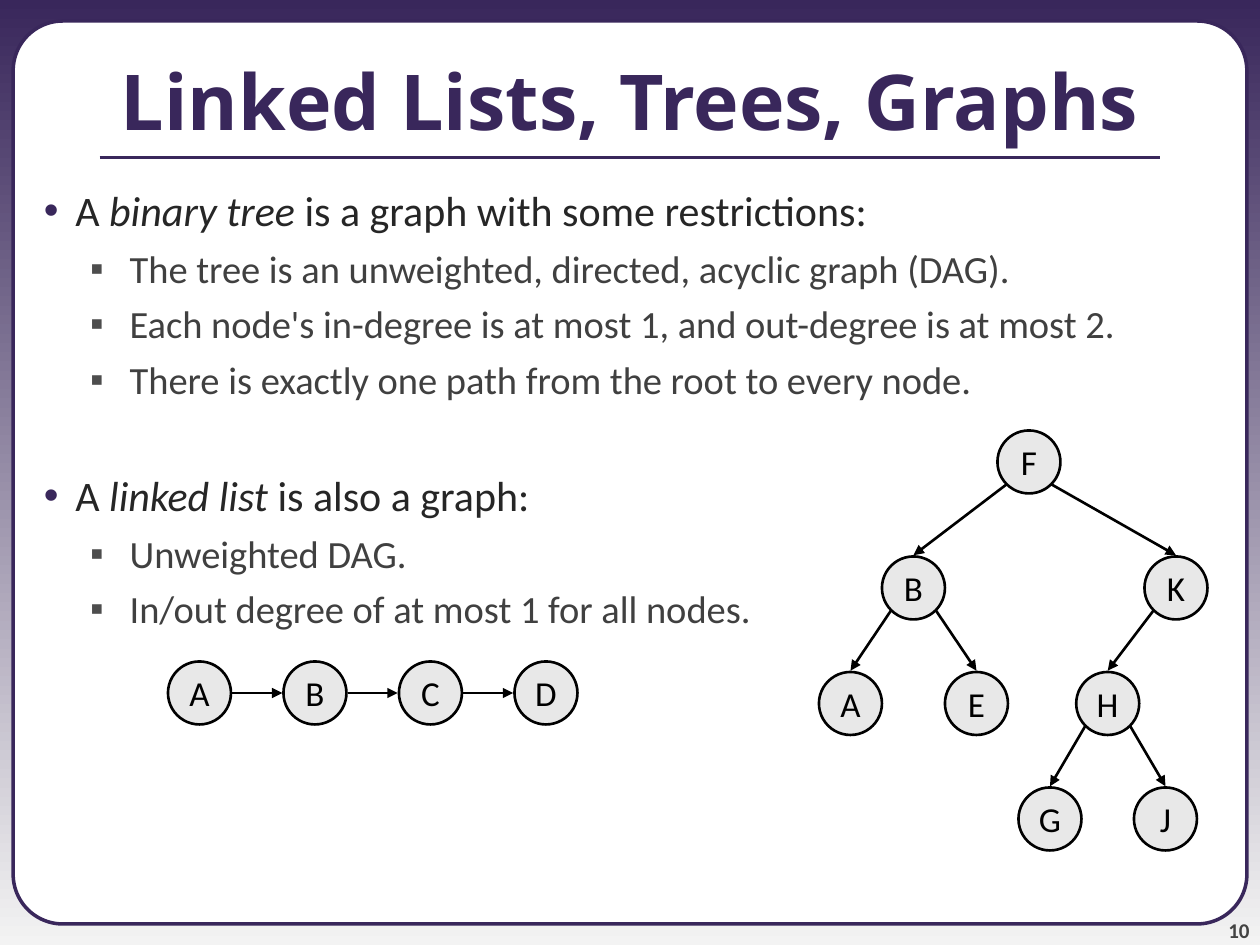
from lxml.etree import SubElement
from pptx import Presentation
from pptx.dml.color import RGBColor
from pptx.enum.shapes import MSO_CONNECTOR, MSO_SHAPE
from pptx.enum.text import MSO_ANCHOR, MSO_AUTO_SIZE, PP_ALIGN
from pptx.oxml.ns import qn
from pptx.util import Pt

PURPLE = "39275B"
BLACK = "000000"
NODE_SIZE = 36
RADIUS = NODE_SIZE / 2
DIAGONAL = 12.73  # horizontal and vertical offset of a point at 45° on a node
GAP = 0.7  # between an arrow and the node it touches

# Left and top of each tree node
TREE_NODES = {
    "F": (570, 246),
    "B": (504, 318), "K": (654, 318),
    "A": (468, 384), "E": (540, 384), "H": (615, 384),
    "G": (582, 450), "J": (648, 450),
}
TREE_EDGES = ["FB", "FK", "BA", "BE", "KH", "HG", "HJ"]

LIST_NODES = "ABCD"
LIST_LEFT, LIST_TOP, LIST_PITCH = 96, 378, 66

# Opening words, italic term, rest of the line, points below it
TOPICS = [
    ("A ", "binary tree", " is a graph with some restrictions:", [
        "The tree is an unweighted, directed, acyclic graph (DAG).",
        "Each node's in-degree is at most 1, and out-degree is at most 2.",
        "There is exactly one path from the root to every node.",
    ]),
    ("A ", "linked list", " is also a graph:", [
        "Unweighted DAG.",
        "In/out degree of at most 1 for all nodes.",
    ]),
]
TOPIC_GAP = 38.4


def color(value):
    return RGBColor.from_string(value)


def set_font(font, name, size, value, bold=False):
    font.name = name
    font.size = Pt(size)
    font.color.rgb = color(value)
    font.bold = bold


def set_bullet(para, symbol, value, margin, hanging):
    properties = para._p.get_or_add_pPr()
    properties.set("marL", str(Pt(margin)))
    properties.set("indent", str(-Pt(hanging)))
    bullet_color = SubElement(properties, qn("a:buClr"))
    SubElement(bullet_color, qn("a:srgbClr"), val=value)
    SubElement(properties, qn("a:buFont"), typeface="Arial")
    SubElement(properties, qn("a:buChar"), char=symbol)


def add_background(page):
    fill = page.background.fill
    fill.gradient()
    fill.gradient_angle = 270
    for stop, value in zip(fill.gradient_stops, (PURPLE, "F3F3F3")):
        stop.color.rgb = color(value)


def add_outlined_shape(page, kind, left, top, width, height, fill, line, weight):
    shape = page.shapes.add_shape(kind, Pt(left), Pt(top), Pt(width), Pt(height))
    shape.shadow.inherit = False
    shape.fill.solid()
    shape.fill.fore_color.rgb = color(fill)
    shape.line.color.rgb = color(line)
    shape.line.width = Pt(weight)
    return shape


def add_line(page, start, end, value, weight, arrow=False):
    line = page.shapes.add_connector(
        MSO_CONNECTOR.STRAIGHT, *(Pt(n) for n in (*start, *end)))
    line.line.color.rgb = color(value)
    line.line.width = Pt(weight)
    if arrow:
        SubElement(line.line._get_or_add_ln(), qn("a:tailEnd"), type="triangle")
    SubElement(line._element.spPr, qn("a:effectLst"))


def add_node(page, label, left, top):
    node = add_outlined_shape(page, MSO_SHAPE.OVAL, left, top, NODE_SIZE, NODE_SIZE,
                              "E8E8E8", BLACK, 1.5)
    frame = node.text_frame
    frame.word_wrap = False
    frame.vertical_anchor = MSO_ANCHOR.MIDDLE
    para = frame.paragraphs[0]
    para.text = label
    para.alignment = PP_ALIGN.CENTER
    set_font(para.font, "Calibri", 20, BLACK)


def add_tree(page):
    for parent, child in TREE_EDGES:
        (parent_left, parent_top), (child_left, child_top) = (
            TREE_NODES[parent], TREE_NODES[child])
        side = DIAGONAL if child_left > parent_left else -DIAGONAL
        start = parent_left + RADIUS + side, parent_top + RADIUS + DIAGONAL
        end = child_left + RADIUS, child_top - GAP
        add_line(page, start, end, BLACK, 1.5, arrow=True)
    for label, (left, top) in TREE_NODES.items():
        add_node(page, label, left, top)


def add_linked_list(page):
    middle = LIST_TOP + RADIUS
    for index, label in enumerate(LIST_NODES):
        left = LIST_LEFT + index * LIST_PITCH
        add_node(page, label, left, LIST_TOP)
        if index:
            start = left - LIST_PITCH + NODE_SIZE + GAP
            add_line(page, (start, middle), (left - GAP, middle), BLACK, 1.5, arrow=True)


def add_title(page, text):
    title = page.shapes.title
    title.left, title.top, title.width, title.height = Pt(0), Pt(12), Pt(720), Pt(90)
    # The placeholder comes first on the page, so bring it in front of the panel
    title._element.getparent().append(title._element)
    frame = title.text_frame
    frame.auto_size = MSO_AUTO_SIZE.NONE
    frame.vertical_anchor = MSO_ANCHOR.MIDDLE
    para = frame.paragraphs[0]
    para.text = text
    para.alignment = PP_ALIGN.CENTER
    set_font(para.font, "Noto Sans", 44, PURPLE, bold=True)


def add_page_number(page, number):
    box = page.shapes.add_textbox(Pt(654), Pt(510), Pt(60), Pt(28.8))
    frame = box.text_frame
    frame.margin_left = frame.margin_right = frame.margin_top = frame.margin_bottom = 0
    frame.word_wrap = True
    frame.vertical_anchor = MSO_ANCHOR.BOTTOM
    para = frame.paragraphs[0]
    para.text = number
    para.alignment = PP_ALIGN.RIGHT
    set_font(para.font, "Calibri", 12, "424242", bold=True)


def add_topics(page):
    box = page.shapes.add_textbox(Pt(0), Pt(102), Pt(720), Pt(438))
    frame = box.text_frame
    frame.word_wrap = True
    for index, (opening, term, rest, points) in enumerate(TOPICS):
        para = frame.add_paragraph() if index else frame.paragraphs[0]
        if index:
            para.space_before = Pt(TOPIC_GAP)
        set_bullet(para, "•", PURPLE, 36, 18)
        set_font(para.font, "Calibri", 24, "262626")
        for text in (opening, term, rest):
            span = para.add_run()
            span.text = text
            if text == term:
                span.font.italic = True
        for point in points:
            para = frame.add_paragraph()
            para.text = point
            para.level = 1
            para.space_before = Pt(5.5)
            set_bullet(para, "▪", "4D4D4D", 67, 22.5)
            set_font(para.font, "Calibri", 22, "404040")


def main():
    deck = Presentation()
    deck.slide_width, deck.slide_height = Pt(720), Pt(540)
    page = deck.slides.add_slide(deck.slide_layouts[5])
    add_background(page)
    panel = add_outlined_shape(page, MSO_SHAPE.ROUNDED_RECTANGLE, 7.5, 12, 705, 516,
                               "FFFFFF", PURPLE, 2)
    panel.adjustments[0] = 0.055
    add_page_number(page, "10")
    add_line(page, (57, 90), (663, 90), PURPLE, 2.25)
    add_title(page, "Linked Lists, Trees, Graphs")
    add_topics(page)
    add_tree(page)
    add_linked_list(page)
    deck.save("out.pptx")


if __name__ == "__main__":
    main()
